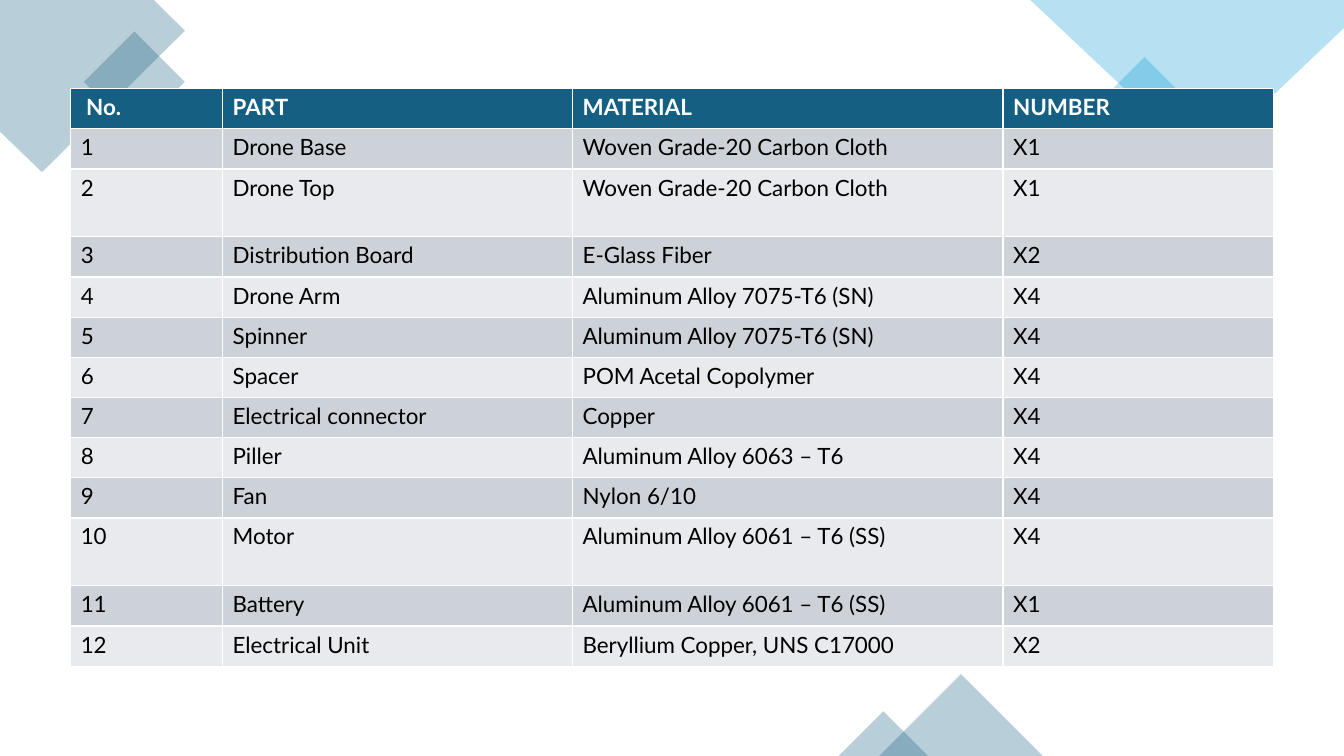
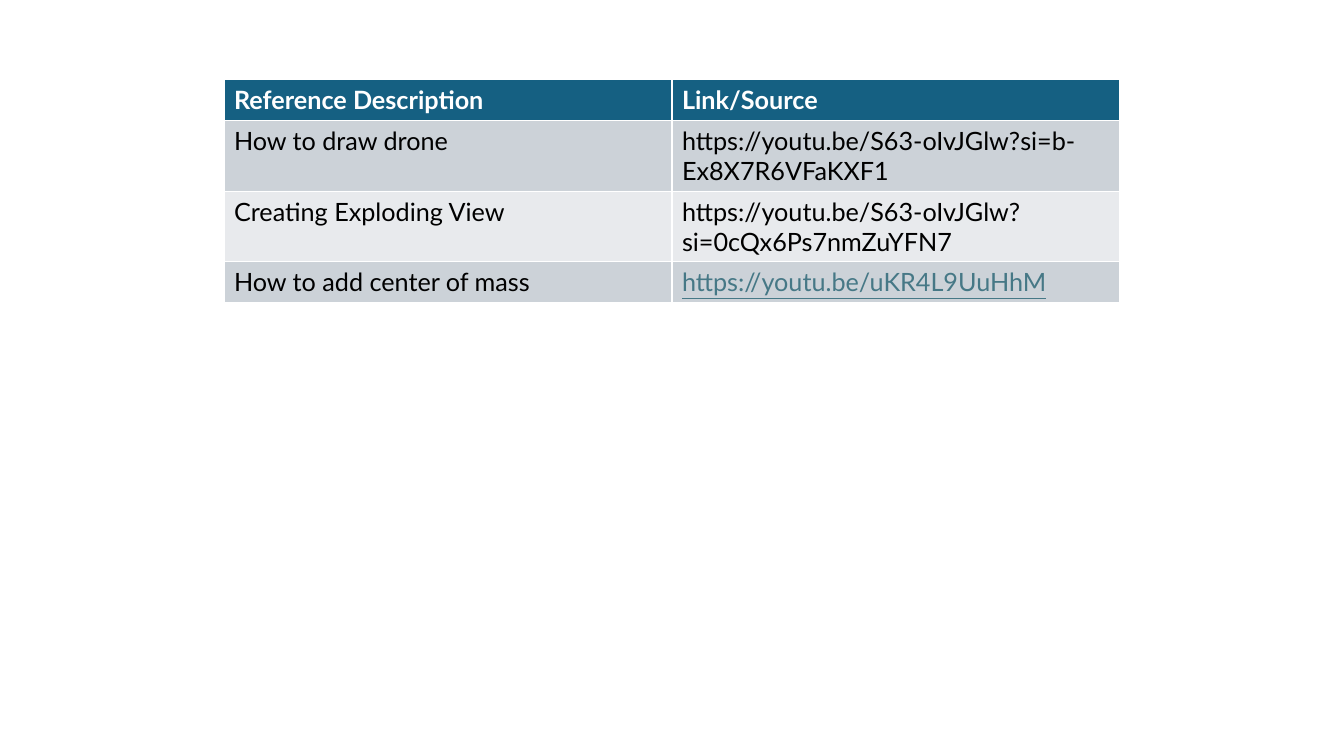
from pptx import Presentation
from pptx.dml.color import RGBColor
from pptx.enum.shapes import MSO_SHAPE as SHAPE
from pptx.oxml.ns import qn
from pptx.util import Pt
from lxml.etree import SubElement

FONT = "Lato"
TEAL, SKY = "156082", "0F9ED5"
WHITE, BLACK, LINK = "FFFFFF", "000000", "467886"
BANDS = ("CCD2D8", "E8EAED")

PARTS = [
    (" No.", "PART", "MATERIAL", "NUMBER"),
    ("1", "Drone Base", "Woven Grade-20 Carbon Cloth", "X1"),
    ("2", "Drone Top", "Woven Grade-20 Carbon Cloth", "X1"),
    ("3", "Distribution Board", "E-Glass Fiber", "X2"),
    ("4", "Drone Arm", "Aluminum Alloy 7075-T6 (SN)", "X4"),
    ("5", "Spinner", "Aluminum Alloy 7075-T6 (SN)", "X4"),
    ("6", "Spacer", "POM Acetal Copolymer", "X4"),
    ("7", "Electrical connector", "Copper", "X4"),
    ("8", "Piller", "Aluminum Alloy 6063 – T6", "X4"),
    ("9", "Fan", "Nylon 6/10", "X4"),
    ("10", "Motor", "Aluminum Alloy 6061 – T6 (SS)", "X4"),
    ("11", "Battery", "Aluminum Alloy 6061 – T6 (SS)", "X1"),
    ("12", "Electrical Unit", "Beryllium Copper, UNS C17000", "X2"),
]
REFERENCES = [
    ("Reference Description", "Link/Source"),
    ("How to draw drone", "https://youtu.be/S63-oIvJGlw?si=b-Ex8X7R6VFaKXF1"),
    ("Creating Exploding View", "https://youtu.be/S63-oIvJGlw?si=0cQx6Ps7nmZuYFN7"),
    ("How to add center of mass", "https://youtu.be/uKR4L9UuHhM"),
]


def rgb(color):
    return RGBColor.from_string(color)


def tint(sp, color):
    """Fill a decoration with a 30 % opaque colour and no outline."""
    sp.shadow.inherit = False
    sp.line.fill.background()
    sp.fill.solid()
    sp.fill.fore_color.rgb = rgb(color)
    clr = sp.fill._xPr.find(qn("a:solidFill"))[0]
    SubElement(clr, qn("a:alpha"), val="30000")


def add_outline(slide, points, color):
    builder = slide.shapes.build_freeform(*points[0], scale=Pt(1))
    builder.add_line_segments(points[1:], close=True)
    tint(builder.convert_to_shape(), color)


def add_preset(slide, kind, left, top, width, height, color, rotation=0):
    sp = slide.shapes.add_shape(kind, Pt(left), Pt(top), Pt(width), Pt(height))
    sp.rotation = rotation
    tint(sp, color)


def add_corners(slide, width, height):
    """Draw the overlapping squares that are cut off by the slide edges."""
    add_outline(slide, [(110, 0), (0, 0), (0, 94), (29.5, 123), (132, 21.5)], TEAL)
    add_preset(slide, SHAPE.RECTANGLE, 70.5, 33, 51, 51, TEAL, 315)
    add_preset(slide, SHAPE.RECTANGLE, width - 169.5, 52, 54, 54, SKY, 315)
    add_outline(slide, [(width, 0), (width - 223.5, 0), (width - 101, 116.5),
                        (width, 20)], SKY)
    for left, size in ((628, 117), (599, 64)):
        add_preset(slide, SHAPE.ISOSCELES_TRIANGLE, left, height - size / 2,
                   size, size / 2, TEAL)


def style_cell(cell, text, size, fill, color, bold):
    cell.fill.solid()
    cell.fill.fore_color.rgb = rgb(fill)
    p = cell.text_frame.paragraphs[0]
    p.text = text
    font = p.runs[0].font
    font.name, font.size, font.bold = FONT, Pt(size), bold
    font.color.rgb = rgb(color)


def add_banded_table(slide, left, top, widths, heights, rows, size):
    table = slide.shapes.add_table(len(rows), len(widths), Pt(left), Pt(top),
                                   Pt(sum(widths)), Pt(sum(heights))).table
    for column, width in zip(table.columns, widths):
        column.width = Pt(width)
    for i, (row, height) in enumerate(zip(rows, heights)):
        table.rows[i].height = Pt(height)
        header = i == 0
        fill = TEAL if header else BANDS[(i - 1) % 2]
        for j, text in enumerate(row):
            style_cell(table.cell(i, j), text, size, fill,
                       WHITE if header else BLACK, header)
    return table


def parts_slide(slide, width, height):
    add_corners(slide, width, height)
    heights = [48.5 if row[0] in ("2", "10") else 28.7 for row in PARTS]
    add_banded_table(slide, 50.5, 63.3, (108.5, 250, 307.5, 193), heights, PARTS, 16)


def references_slide(slide, width):
    column = 320
    table = add_banded_table(slide, width / 2 - column, 57, (column, column),
                             (29.2, 50.4, 50.4, 29.2), REFERENCES, 18)
    font = table.cell(3, 1).text_frame.paragraphs[0].runs[0].font
    font.underline = True
    font.color.rgb = rgb(LINK)


def main():
    width, height = 960, 540
    prs = Presentation()
    prs.slide_width, prs.slide_height = Pt(width), Pt(height)
    blank = prs.slide_layouts[6]
    parts_slide(prs.slides.add_slide(blank), width, height)
    references_slide(prs.slides.add_slide(blank), width)
    prs.save("out.pptx")


if __name__ == "__main__":
    main()
